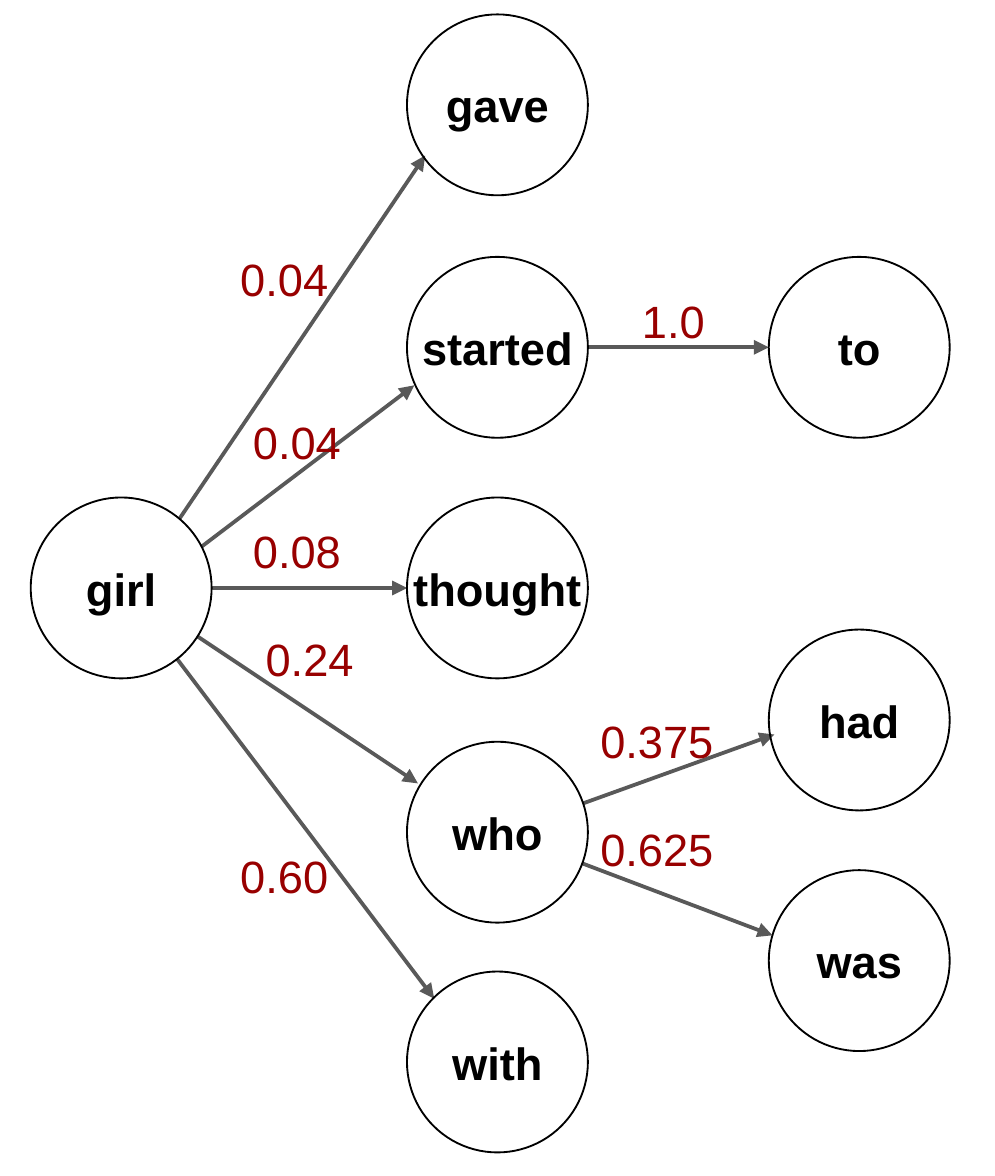
from lxml import etree
from pptx import Presentation
from pptx.dml.color import RGBColor
from pptx.enum.shapes import MSO_CONNECTOR, MSO_SHAPE
from pptx.enum.text import MSO_ANCHOR, PP_ALIGN
from pptx.oxml.ns import qn
from pptx.util import Inches, Pt

STRAIGHT = MSO_CONNECTOR.STRAIGHT
OVAL = MSO_SHAPE.OVAL
MIDDLE = MSO_ANCHOR.MIDDLE
CENTER, LEFT = PP_ALIGN.CENTER, PP_ALIGN.LEFT

COLORS = {"node": "FFFFFF", "ink": "000000", "edge": "595959", "weight": "980000"}
NODE_SIZE = 1
ROOT_X, WORD_X, NEXT_X = 0.17, 2.25, 4.25

# word, left, top, filled
NODES = [
    ("girl", ROOT_X, 2.75, True),
    ("gave", WORD_X, 0.08, False),
    ("started", WORD_X, 1.42, False),
    ("thought", WORD_X, 2.75, False),
    ("who", WORD_X, 4.1, True),
    ("with", WORD_X, 5.37, False),
    ("to", NEXT_X, 1.42, False),
    ("had", NEXT_X, 3.48, False),
    ("was", NEXT_X, 4.81, False),
]

# start, end, weight, left and top of the weight
EDGES = [
    ((0.72, 3.27), (2.35, 0.86), "0.04", (1.23, 1.29)),
    ((0.8, 3.26), (2.29, 2.13), "0.04", (1.3, 2.19)),
    ((1.17, 3.25), (2.25, 3.25), "0.08", (1.3, 2.79)),
    ((0.75, 3.29), (2.31, 4.33), "0.24", (1.37, 3.39)),
    ((0.75, 3.34), (2.4, 5.52), "0.60", (1.23, 4.59)),
    ((3.25, 1.92), (4.25, 1.92), "1.0", (3.45, 1.52)),
    ((2.78, 4.6), (4.28, 4.06), "0.375", (3.22, 3.84)),
    ((2.79, 4.61), (4.27, 5.17), "0.625", (3.22, 4.44)),
]


def rgb(name):
    return RGBColor.from_string(COLORS[name])


def write(tf, text, color, align, bold=False):
    p = tf.paragraphs[0]
    p.text = text
    p.alignment = align
    p.font.name = "Arial"
    p.font.size = Pt(18)
    p.font.bold = bold
    p.font.color.rgb = rgb(color)


def add_arrow(slide, x, y, start, end):
    x1, y1 = start
    x2, y2 = end
    line = slide.shapes.add_connector(
        STRAIGHT, Inches(x + x1), Inches(y + y1), Inches(x + x2), Inches(y + y2))
    line.line.color.rgb = rgb("edge")
    line.line.width = Pt(1.5)
    etree.SubElement(line.line._get_or_add_ln(), qn("a:tailEnd"), type="triangle")
    etree.SubElement(line._element.spPr, qn("a:effectLst"))


def add_node(slide, left, top, word, filled):
    sp = slide.shapes.add_shape(
        OVAL, Inches(left), Inches(top), Inches(NODE_SIZE), Inches(NODE_SIZE))
    sp.shadow.inherit = False
    if filled:
        sp.fill.solid()
        sp.fill.fore_color.rgb = rgb("node")
    else:
        sp.fill.background()
    sp.line.color.rgb = rgb("ink")
    sp.line.width = Pt(0.75)
    tf = sp.text_frame
    tf.word_wrap = False
    tf.vertical_anchor = MIDDLE
    tf.margin_left = tf.margin_right = tf.margin_top = tf.margin_bottom = 0
    write(tf, word, "ink", CENTER, bold=True)


def add_weight(slide, left, top, weight):
    box = slide.shapes.add_textbox(Inches(left), Inches(top), Inches(1), Inches(0.51))
    tf = box.text_frame
    tf.word_wrap = True
    tf.margin_left = tf.margin_right = tf.margin_top = tf.margin_bottom = Inches(0.1)
    write(tf, weight, "weight", LEFT)


def add_word_tree(slide, x, y):
    """Draw arrows at the back, then the words, then the weights."""
    for start, end, _, _ in EDGES:
        add_arrow(slide, x, y, start, end)
    for word, left, top, filled in NODES:
        add_node(slide, x + left, y + top, word, filled)
    for _, _, weight, (left, top) in EDGES:
        add_weight(slide, x + left, y + top, weight)


def main():
    prs = Presentation()
    prs.slide_width, prs.slide_height = Inches(5.5), Inches(6.5)
    slide = prs.slides.add_slide(prs.slide_layouts[6])
    add_word_tree(slide, 0, 0)
    prs.save("out.pptx")


if __name__ == "__main__":
    main()
